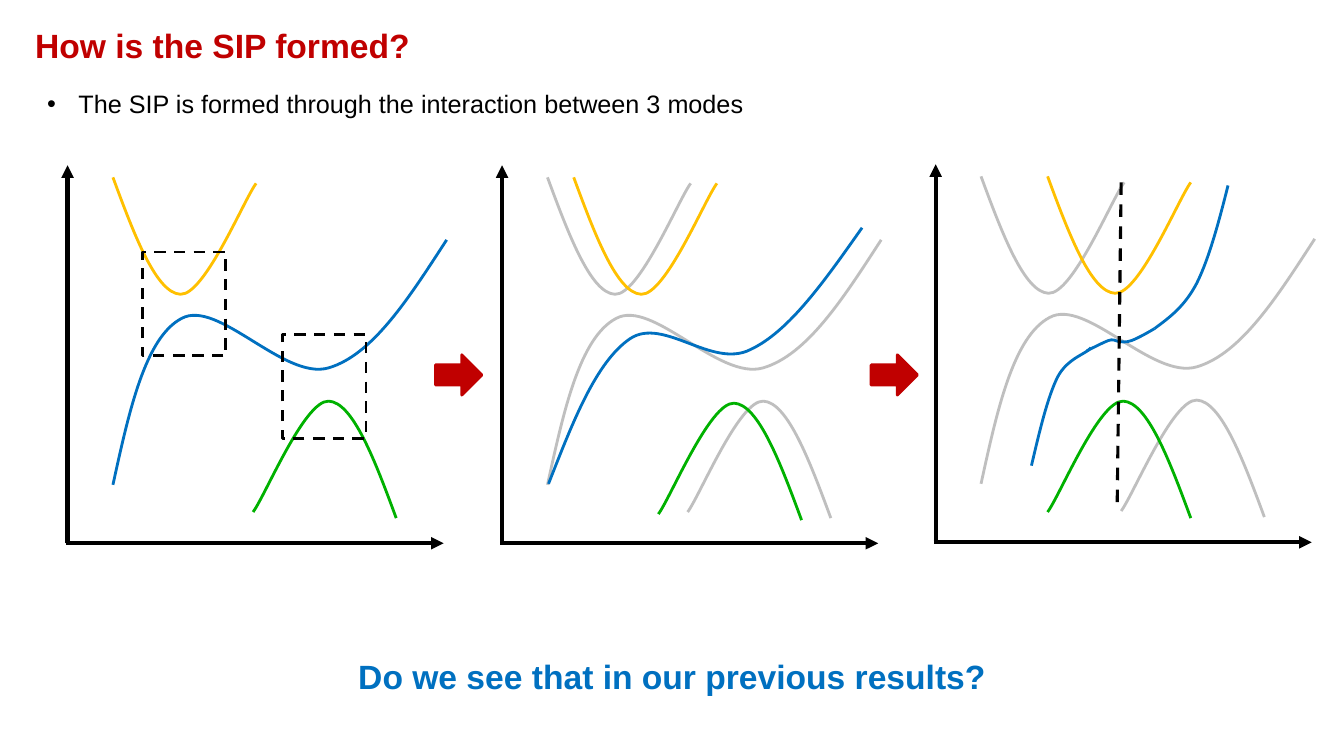
from pptx import Presentation
from pptx.dml.color import RGBColor
from pptx.enum.dml import MSO_LINE
from pptx.enum.shapes import MSO_CONNECTOR, MSO_SHAPE
from pptx.enum.text import MSO_ANCHOR, PP_ALIGN
from pptx.oxml.ns import qn
from pptx.util import Inches, Pt
from lxml.etree import SubElement

COLORS = {
    "red": "C00000", "blue": "0070C0", "yellow": "FFC000",
    "green": "00B100", "gray": "BFBFBF", "black": "000000",
}

# Bezier points of each mode, relative to its first point
VALLEY = [(0, 0), (0.21, 0.57), (0.43, 1.15), (0.67, 1.16),
          (0.91, 1.17), (1.3, 0.22), (1.42, 0.06)]
HILL = [(-x, -y) for x, y in VALLEY]
WAVE = [(0, 0), (0.16, -0.73), (0.32, -1.46), (0.68, -1.65), (1.04, -1.85),
        (1.7, -1.03), (2.14, -1.16), (2.58, -1.29), (2.94, -1.86), (3.31, -2.43)]

# Start of each mode, relative to the origin of the axes
VALLEY_START = (0.45, -3.63)
HILL_START = (3.26, -0.25)
WAVE_START = (0.45, -0.58)

# Middle mode after the first shift, and the three pieces of the final one
SHIFTED_WAVE = [(5.44, 4.8), (5.68, 4.19), (5.91, 3.59), (6.25, 3.36), (6.58, 3.14),
                (7.06, 3.66), (7.44, 3.47), (7.83, 3.29), (8.19, 2.77), (8.55, 2.26)]
SIP_PIECES = [
    [(10.78, 3.48), (10.86, 3.44), (10.94, 3.4), (10.99, 3.38), (11.04, 3.36),
     (11.06, 3.38), (11.1, 3.39), (11.14, 3.39), (11.16, 3.4), (11.22, 3.38),
     (11.28, 3.36), (11.42, 3.28), (11.45, 3.26)],
    [(11.45, 3.26), (11.6, 3.15), (11.75, 3.04), (11.87, 2.81),
     (11.99, 2.57), (12.09, 2.2), (12.18, 1.84)],
    [(10.23, 4.62), (10.31, 4.28), (10.39, 3.94), (10.49, 3.74),
     (10.59, 3.55), (10.78, 3.51), (10.82, 3.45)],
]


def rgb(name):
    return RGBColor.from_string(COLORS[name])


def style_line(shape, color, width, dashed=False):
    shape.line.color.rgb = rgb(color)
    shape.line.width = Pt(width)
    if dashed:
        shape.line.dash_style = MSO_LINE.DASH


def add_text(slide, text, box, color, size, bold=False, align=PP_ALIGN.LEFT,
             anchor=MSO_ANCHOR.TOP, bullet=False):
    frame = slide.shapes.add_textbox(*map(Inches, box)).text_frame
    frame.word_wrap = True
    frame.vertical_anchor = anchor
    paragraph = frame.paragraphs[0]
    paragraph.alignment = align
    if bullet:
        properties = paragraph._p.get_or_add_pPr()
        properties.set("marL", str(Inches(0.31)))
        properties.set("indent", str(-Inches(0.31)))
        SubElement(properties, qn("a:buFont"), typeface="Arial")
        SubElement(properties, qn("a:buChar"), char="•")
    run = paragraph.add_run()
    run.text = text
    for name, value in {"name": "Arial", "size": Pt(size), "bold": bold}.items():
        setattr(run.font, name, value)
    run.font.color.rgb = rgb(color)


def add_line(shapes, start, end, width, dashed=False, arrow=False):
    line = shapes.add_connector(MSO_CONNECTOR.STRAIGHT, *map(Inches, start + end))
    style_line(line, "black", width, dashed)
    if arrow:
        SubElement(line.line._get_or_add_ln(), qn("a:tailEnd"), type="triangle")
    SubElement(line._element.spPr, qn("a:effectLst"))


def add_curve(shapes, points, color, start=(0, 0)):
    """Draw a cubic Bezier path whose points are given from start."""
    emu = [(Inches(start[0] + x), Inches(start[1] + y)) for x, y in points]
    builder = shapes.build_freeform(*emu[0])
    builder.add_line_segments(emu[1:], close=False)
    curve = builder.convert_to_shape()
    curve.fill.background()
    curve.shadow.inherit = False
    style_line(curve, color, 2)
    # Every three straight segments become one cubic segment
    segments = list(curve._element.iter(qn("a:lnTo")))
    path = segments[0].getparent()
    for first in range(0, len(segments), 3):
        cubic = SubElement(path, qn("a:cubicBezTo"))
        for segment in segments[first:first + 3]:
            cubic.append(segment[0])
            path.remove(segment)


def add_axes(shapes, origin):
    x, y = origin
    add_line(shapes, (x, y), (x, y - 3.75), 3, arrow=True)
    add_line(shapes, (x - 0.02, y), (x + 3.73, y), 3, arrow=True)


def add_mode(shapes, origin, points, start, color, shift=(0, 0)):
    position = [sum(values) for values in zip(origin, start, shift)]
    add_curve(shapes, points, color, position)


def add_panel(slide, origin, colors):
    """Add a group with axes and the three modes in their first places."""
    shapes = slide.shapes.add_group_shape().shapes
    add_axes(shapes, origin)
    modes = [(VALLEY, VALLEY_START), (HILL, HILL_START), (WAVE, WAVE_START)]
    for (points, start), color in zip(modes, colors):
        add_mode(shapes, origin, points, start, color)
    return shapes


def add_shifted_modes(shapes, origin, valley_shift, hill_shift):
    add_mode(shapes, origin, VALLEY, VALLEY_START, "yellow", valley_shift)
    add_mode(shapes, origin, HILL, HILL_START, "green", hill_shift)


def add_dashed_box(shapes, left, top):
    box = shapes.add_shape(MSO_SHAPE.RECTANGLE, *map(Inches, (left, top, 0.83, 1.03)))
    box.fill.background()
    box.shadow.inherit = False
    style_line(box, "black", 2, dashed=True)


def add_block_arrow(slide, left):
    arrow = slide.shapes.add_shape(MSO_SHAPE.RIGHT_ARROW,
                                   *map(Inches, (left, 3.52, 0.46, 0.4)))
    arrow.fill.solid()
    arrow.fill.fore_color.rgb = rgb("red")
    arrow.shadow.inherit = False
    style_line(arrow, "red", 2)


def main():
    presentation = Presentation()
    presentation.slide_width = Inches(13.33)
    presentation.slide_height = Inches(7.5)
    slide = presentation.slides.add_slide(presentation.slide_layouts[6])

    add_text(slide, "How is the SIP formed?", (0.25, 0.22, 9.08, 0.45),
             "red", 24, bold=True, anchor=MSO_ANCHOR.MIDDLE)
    add_text(slide, "The SIP is formed through the interaction between 3 modes",
             (0.37, 0.83, 12.3, 0.4), "black", 18, bullet=True)

    first = add_panel(slide, (0.67, 5.39), ("yellow", "green", "blue"))
    for left, top in [(1.41, 2.5), (2.8, 3.32)]:
        add_dashed_box(first, left, top)

    origin = (4.98, 5.39)
    second = add_panel(slide, origin, ["gray"] * 3)
    add_curve(second, SHIFTED_WAVE, "blue")
    add_shifted_modes(second, origin, (0.26, 0), (-0.29, 0.02))

    origin = (9.28, 5.38)
    third = add_panel(slide, origin, ["gray"] * 3)
    add_shifted_modes(third, origin, (0.66, 0), (-0.73, 0.01))
    for piece in SIP_PIECES:
        add_curve(third, piece, "blue")
    add_line(third, (11.12, 1.81), (11.08, 5.06), 2.25, dashed=True)

    add_text(slide, "Do we see that in our previous results?",
             (3.41, 6.46, 6.51, 0.5), "blue", 24, bold=True, align=PP_ALIGN.CENTER)
    for left in (4.32, 8.64):
        add_block_arrow(slide, left)

    presentation.save("out.pptx")


if __name__ == "__main__":
    main()
